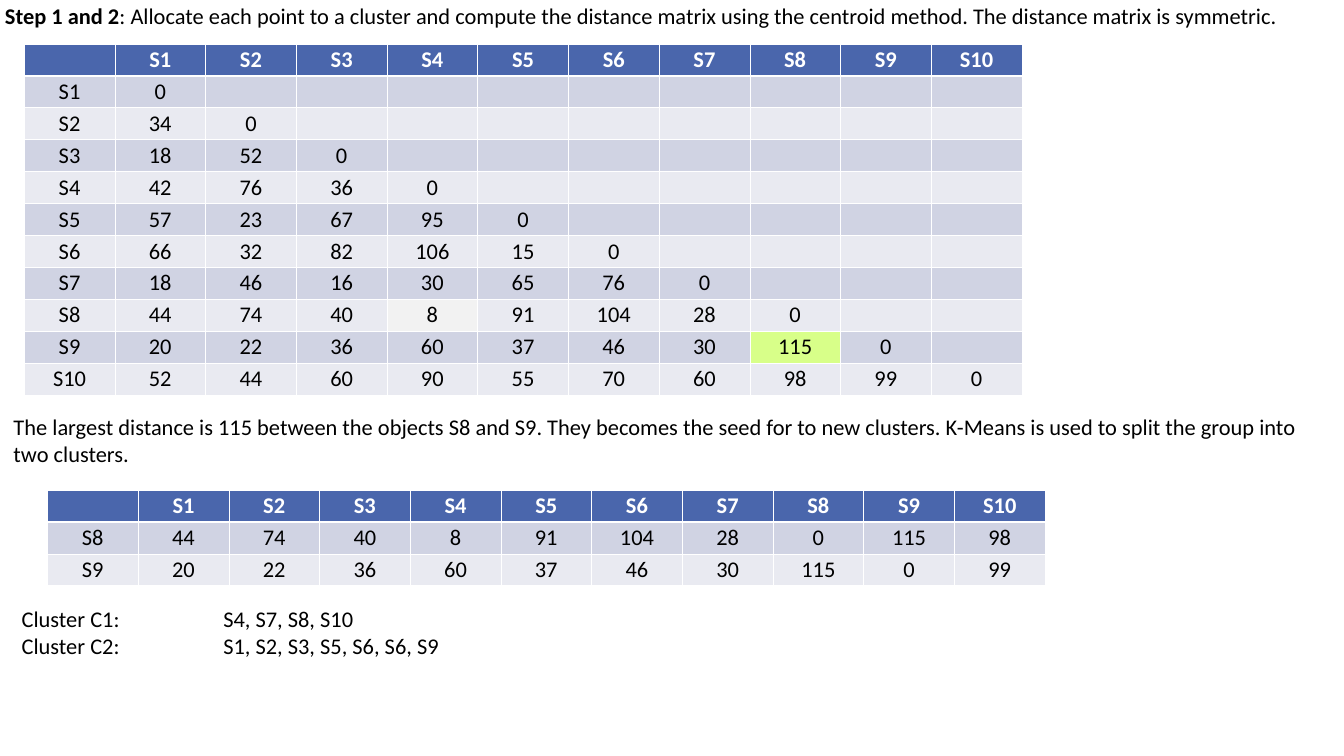
import dataclasses

import lxml.etree
import pptx
import pptx.dml.color
import pptx.enum.text
import pptx.oxml.ns
import pptx.util

Cm = pptx.util.Cm
qn = pptx.oxml.ns.qn


@dataclasses.dataclass(frozen=True)
class Theme:
    font: str = "Calibri"
    size: int = 32
    ink: str = "000000"
    paper: str = "FFFFFF"
    header: str = "4A66AC"
    bands: tuple = ("D0D3E3", "E9EAF1")
    nearest: str = "F2F2F2"
    farthest: str = "D8FF89"
    thin: int = 1
    thick: int = 3


def rgb(value):
    return pptx.dml.color.RGBColor.from_string(value)


def add_text(para, text, *, theme, color=None, bold=False, centered=False):
    if centered:
        para.alignment = pptx.enum.text.PP_ALIGN.CENTER
    span = para.add_run()
    span.text = text
    span.font.name = theme.font
    span.font.size = pptx.util.Pt(theme.size)
    span.font.bold = bold
    span.font.color.rgb = rgb(color or theme.ink)


def add_border(cell, side, color, width):
    line = lxml.etree.SubElement(cell._tc.get_or_add_tcPr(), qn("a:ln" + side))
    line.set("w", str(pptx.util.Pt(width)))
    fill = lxml.etree.SubElement(line, qn("a:solidFill"))
    lxml.etree.SubElement(fill, qn("a:srgbClr")).set("val", color)


def add_tabs(para, positions):
    tabs = lxml.etree.SubElement(para._p.get_or_add_pPr(), qn("a:tabLst"))
    for position in positions:
        tab = lxml.etree.SubElement(tabs, qn("a:tab"))
        tab.set("pos", str(Cm(position)))
        tab.set("algn", "l")


class SlideBuilder:
    def __init__(self, page, theme):
        self.page = page
        self.theme = theme

    def text(self, left, top, width, height, lines, tabs=()):
        box = self.page.shapes.add_textbox(Cm(left), Cm(top), Cm(width), Cm(height))
        frame = box.text_frame
        frame.word_wrap = True
        frame.auto_size = pptx.enum.text.MSO_AUTO_SIZE.SHAPE_TO_FIT_TEXT
        for index, line in enumerate(lines):
            para = frame.add_paragraph() if index else frame.paragraphs[0]
            if tabs:
                add_tabs(para, tabs)
            for words, bold in line:
                add_text(para, words, theme=self.theme, bold=bold)

    def table(self, left, top, rows, column_width, row_height, highlights=None):
        highlights = highlights or {}
        count = len(rows[0])
        table = self.page.shapes.add_table(
            len(rows), count, Cm(left), Cm(top),
            Cm(column_width * count), Cm(row_height * len(rows)),
        ).table
        for column in table.columns:
            column.width = Cm(column_width)
        for row_index, values in enumerate(rows):
            table.rows[row_index].height = Cm(row_height)
            for column_index, value in enumerate(values):
                fill = highlights.get((row_index, column_index))
                self.cell(table.cell(row_index, column_index), row_index, value, fill)

    def cell(self, cell, row_index, value, fill):
        theme = self.theme
        is_header = row_index == 0
        cell.margin_top = cell.margin_bottom = Cm(0.11)
        thick_side = {0: "B", 1: "T"}.get(row_index)
        for side in "LRTB":
            width = theme.thick if side == thick_side else theme.thin
            add_border(cell, side, theme.paper, width)
        band = theme.header if is_header else theme.bands[(row_index - 1) % 2]
        cell.fill.solid()
        cell.fill.fore_color.rgb = rgb(fill or band)
        if value != "":
            add_text(
                cell.text_frame.paragraphs[0], str(value), theme=theme, centered=True,
                color=theme.paper if is_header else theme.ink, bold=is_header,
            )


DISTANCES = [
    [0],
    [34, 0],
    [18, 52, 0],
    [42, 76, 36, 0],
    [57, 23, 67, 95, 0],
    [66, 32, 82, 106, 15, 0],
    [18, 46, 16, 30, 65, 76, 0],
    [44, 74, 40, 8, 91, 104, 28, 0],
    [20, 22, 36, 60, 37, 46, 30, 115, 0],
    [52, 44, 60, 90, 55, 70, 60, 98, 99, 0],
]
OBJECTS = [f"S{number}" for number in range(1, len(DISTANCES) + 1)]
HEADER = ["", *OBJECTS]
SEEDS = ("S8", "S9")
COLUMN_WIDTH = 4.57
ROW_HEIGHT = 1.61
TEXT_WIDTH = 66.93


def distances_from(name):
    index = OBJECTS.index(name)
    return [DISTANCES[max(index, other)][min(index, other)]
            for other in range(len(OBJECTS))]


matrix_rows = [HEADER] + [
    [name, *values, *[""] * (len(OBJECTS) - len(values))]
    for name, values in zip(OBJECTS, DISTANCES)
]
seed_rows = [HEADER] + [[name, *distances_from(name)] for name in SEEDS]

deck = pptx.Presentation()
deck.slide_width = Cm(67.72)
deck.slide_height = Cm(38.1)
theme = Theme()
builder = SlideBuilder(deck.slides.add_slide(deck.slide_layouts[6]), theme)

builder.text(0, 0, TEXT_WIDTH, 1.63, [[
    ("Step 1 and 2", True),
    (": Allocate each point to a cluster and compute the distance matrix using "
     "the centroid method. The distance matrix is symmetric.", False),
]])
builder.table(1.22, 2.21, matrix_rows, COLUMN_WIDTH, ROW_HEIGHT,
              {(8, 4): theme.nearest, (9, 8): theme.farthest})
builder.text(0.43, 20.68, TEXT_WIDTH, 3, [[
    ("The largest distance is 115 between the objects S8 and S9. They becomes the "
     "seed for to new clusters. K-Means is used to split the group into two "
     "clusters.", False),
]])
builder.table(2.39, 24.69, seed_rows, COLUMN_WIDTH, ROW_HEIGHT)
builder.text(0.84, 30.38, TEXT_WIDTH, 3, [
    [("Cluster C1:\t\tS4, S7, S8, S10", False)],
    [("Cluster C2:\t\tS1, S2, S3, S5, S6, S6, S9", False)],
], tabs=(5.08, 10.16))

deck.save("out.pptx")
